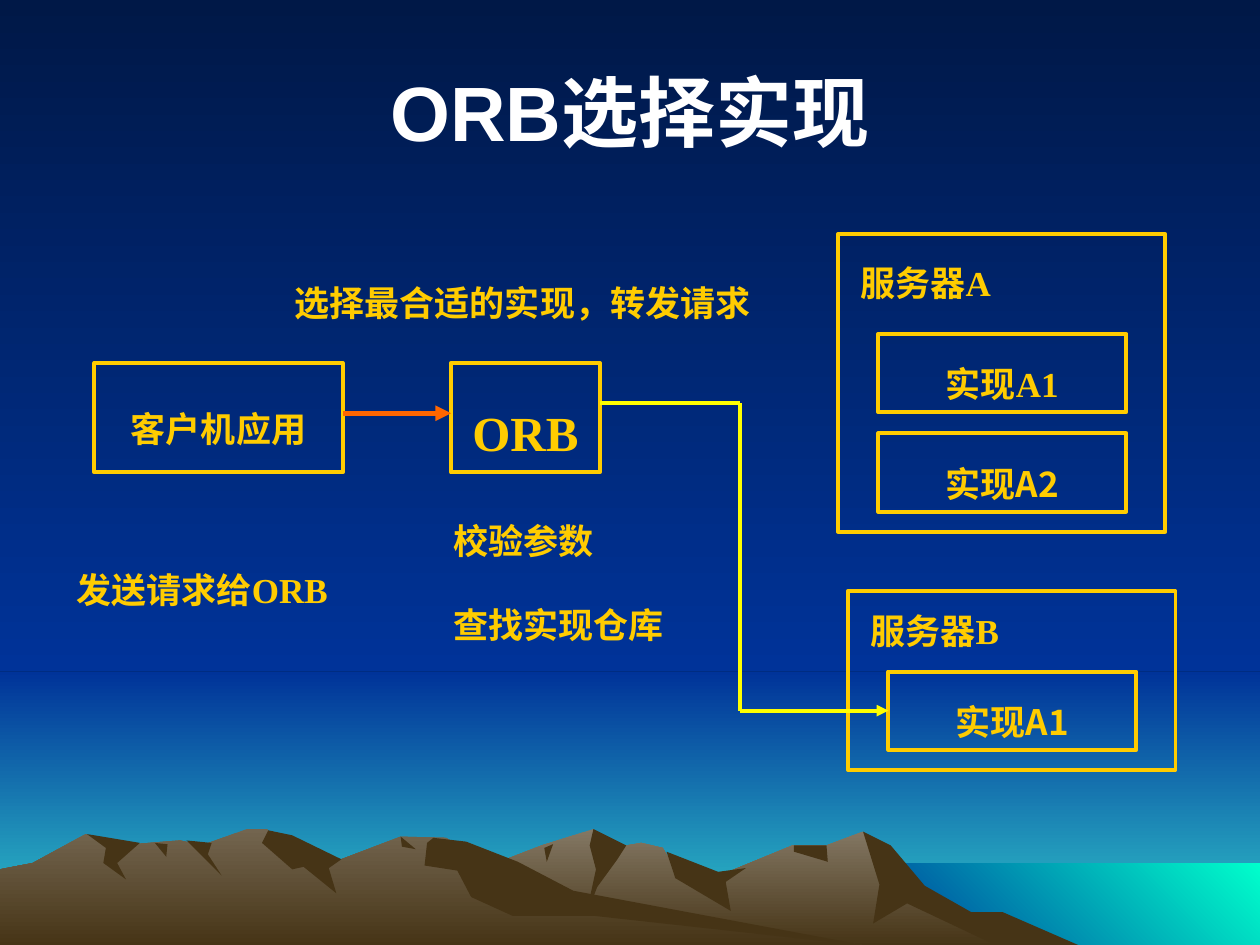
from lxml import etree
from pptx import Presentation
from pptx.dml.color import RGBColor
from pptx.enum.shapes import MSO_CONNECTOR, MSO_SHAPE
from pptx.enum.text import MSO_ANCHOR, MSO_AUTO_SIZE, PP_ALIGN
from pptx.oxml.ns import qn
from pptx.util import Inches, Pt

RECT = MSO_SHAPE.RECTANGLE
LINE = MSO_CONNECTOR.STRAIGHT
TOP, MIDDLE = MSO_ANCHOR.TOP, MSO_ANCHOR.MIDDLE
LEFT, CENTER = PP_ALIGN.LEFT, PP_ALIGN.CENTER
GROW = MSO_AUTO_SIZE.SHAPE_TO_FIT_TEXT

SERIF, SANS, CJK = "Times New Roman", "Arial", "Noto Sans CJK SC"
GOLD, YELLOW, ORANGE, WHITE = "FFCC00", "FFFF00", "FF6600", "FFFFFF"
NIGHT, BLUE, TEAL, MINT = "001847", "003399", "33CCCC", "00FFCC"
STONE, ROCK, SHADE = "847864", "73654F", "463416"

# Outlines in hundredths of an inch.
FAR_HILL = [(821, 751), (764, 723), (723, 698), (685, 660), (656, 671),
            (629, 671), (566, 697), (536, 690), (526, 673), (509, 669),
            (486, 673), (471, 658), (430, 671), (394, 685), (258, 751)]
FAR_SHADES = [
    [(685, 660), (707, 671), (734, 703), (771, 724), (796, 724), (858, 751),
     (792, 751), (720, 717), (693, 733), (698, 702)],
    [(471, 658), (497, 671), (490, 682), (474, 704), (465, 727), (473, 690),
     (468, 671)],
    [(529, 676), (570, 692), (592, 689), (576, 700), (580, 723), (536, 697)],
    [(630, 671), (656, 671), (657, 684), (630, 676)],
    [(432, 673), (439, 670), (434, 684)],
]
NEAR_HILL = [(690, 751), (432, 712), (354, 665), (318, 664), (271, 682),
             (236, 681), (212, 658), (196, 658), (160, 671), (143, 667),
             (94, 671), (68, 662), (26, 685), (0, 690), (0, 751)]
NEAR_SHADES = [
    [(213, 659), (232, 663), (271, 682), (261, 689), (267, 709), (241, 688),
     (232, 690), (208, 669)],
    [(339, 669), (344, 665), (370, 668), (411, 684), (455, 707), (690, 751),
     (472, 727), (407, 727), (374, 712), (363, 691), (337, 687)],
    [(318, 664), (330, 674), (319, 672)],
    [(148, 667), (168, 669), (165, 678), (176, 695)],
    [(123, 669), (133, 670), (132, 680)],
    [(69, 662), (111, 669), (93, 685), (100, 698), (82, 685), (84, 673)],
]


def rgb(code):
    return RGBColor.from_string(code)


def paint(fill, tones, angle=270):
    """Fill with one colour, or with a gradient between two."""
    if len(tones) == 1:
        fill.solid()
        fill.fore_color.rgb = rgb(tones[0])
        return
    fill.gradient()
    fill.gradient_angle = angle
    for stop, tone in zip(fill.gradient_stops, tones):
        stop.color.rgb = rgb(tone)


def add_band(slide, box, tones, angle=270):
    band = slide.shapes.add_shape(RECT, *map(Inches, box))
    band.shadow.inherit = False
    band.line.fill.background()
    paint(band.fill, tones, angle)


def add_hill(slide, points, *tones):
    pen = slide.shapes.build_freeform(*points[0], scale=Inches(0.01))
    pen.add_line_segments(points[1:], close=True)
    hill = pen.convert_to_shape()
    hill.shadow.inherit = False
    hill.line.fill.background()
    paint(hill.fill, tones)


def write(frame, lines, size=20, color=GOLD, face=SERIF, align=LEFT,
          spacing=1.5, hang=0):
    for i, line in enumerate(lines):
        para = frame.paragraphs[0] if i == 0 else frame.add_paragraph()
        para.text = line
        para.alignment = align
        para.line_spacing = spacing
        if i:
            para.space_before = Pt(12.5)
        font = para.font
        font.size, font.bold, font.name = Pt(size), True, face
        font.color.rgb = rgb(color)
        props = para._p.get_or_add_pPr()
        etree.SubElement(props.find(qn("a:defRPr")), qn("a:ea"), typeface=CJK)
        if hang:
            props.set("marL", str(Inches(hang)))
            props.set("indent", str(-Inches(hang)))


def add_note(slide, box, lines, anchor=TOP):
    frame = slide.shapes.add_textbox(*map(Inches, box)).text_frame
    frame.word_wrap = True
    frame.auto_size = GROW
    frame.vertical_anchor = anchor
    write(frame, lines, hang=0.38)


def add_box(slide, box, text="", size=20, face=SERIF):
    shape = slide.shapes.add_shape(RECT, *map(Inches, box))
    shape.shadow.inherit = False
    shape.fill.background()
    shape.line.color.rgb = rgb(GOLD)
    shape.line.width = Pt(2.25)
    if text:
        shape.text_frame.word_wrap = False
        shape.text_frame.vertical_anchor = MIDDLE
        write(shape.text_frame, [text], size, face=face, align=CENTER)
    return shape


def add_server(slide, left, top, height, name, label, parts):
    """Frame with its parts stacked up from the bottom; returns the last part."""
    add_box(slide, (left, top, 2.6, height))
    add_note(slide, (left + 0.08, label, 2.13, 0.6), [name])
    first = top + height - 0.78 - 0.79 * (len(parts) - 1)
    for i, (text, face) in enumerate(parts):
        part = add_box(slide, (left + 0.32, first + 0.79 * i, 1.97, 0.62),
                       text, face=face)
    return part


def add_line(slide, start, end, color=YELLOW, width=2.25, arrow=False):
    link = slide.shapes.add_connector(LINE, *map(Inches, start + end))
    link.line.color.rgb = rgb(color)
    link.line.width = Pt(width)
    if arrow:
        etree.SubElement(link.line._get_or_add_ln(), qn("a:tailEnd"), type="triangle")
    etree.SubElement(link._element.spPr, qn("a:effectLst"))
    return link


def add_title(slide, text):
    title = slide.shapes.title
    title.left, title.top, title.width, title.height = map(Inches, (0.5, 0.25, 9, 1.25))
    title.text_frame.vertical_anchor = MIDDLE
    write(title.text_frame, [text], 44, WHITE, SANS, CENTER, spacing=1)
    slide.shapes._spTree.append(title._element)  # in front of the scenery


def add_scene(slide):
    paint(slide.background.fill, (NIGHT, BLUE))
    add_band(slide, (0, 5.33, 10, 2.17), (BLUE, TEAL))
    add_band(slide, (0, 0, 10, 5.33), (NIGHT, BLUE))
    add_band(slide, (6.83, 6.85, 3.17, 0.65), (BLUE, MINT), 45)
    for hill, tone, shades in ((FAR_HILL, STONE, FAR_SHADES),
                               (NEAR_HILL, ROCK, NEAR_SHADES)):
        add_hill(slide, hill, tone, SHADE)
        for shade in shades:
            add_hill(slide, shade, SHADE)


def main():
    deck = Presentation()
    deck.slide_width, deck.slide_height = Inches(10), Inches(7.5)
    slide = deck.slides.add_slide(deck.slide_layouts[5])
    add_scene(slide)
    add_title(slide, "ORB选择实现")

    add_box(slide, (0.75, 2.88, 1.97, 0.87), "客户机应用")
    add_box(slide, (3.58, 2.88, 1.18, 0.87), "ORB", 28)
    add_line(slide, (2.72, 3.28), (3.58, 3.28), ORANGE, 3, arrow=True)

    add_server(slide, 6.65, 1.86, 2.36, "服务器A", 1.86,
               [("实现A1", SERIF), ("实现A2", CJK)])
    target = add_server(slide, 6.73, 4.69, 1.42, "服务器B", 4.62,
                        [("实现A1", CJK)])

    add_line(slide, (4.76, 3.2), (5.87, 3.2))
    add_line(slide, (5.87, 3.2), (5.87, 5.64))
    add_line(slide, (5.87, 5.64), (7.05, 5.64), arrow=True).end_connect(target, 1)

    add_note(slide, (0.51, 4.3, 2.2, 1.1), ["发送请求给ORB"])
    add_note(slide, (2.24, 2.02, 4.41, 0.6), ["选择最合适的实现，转发请求"], MIDDLE)
    add_note(slide, (3.5, 3.9, 1.89, 1.28), ["校验参数", "查找实现仓库"], MIDDLE)
    deck.save("out.pptx")


if __name__ == "__main__":
    main()
